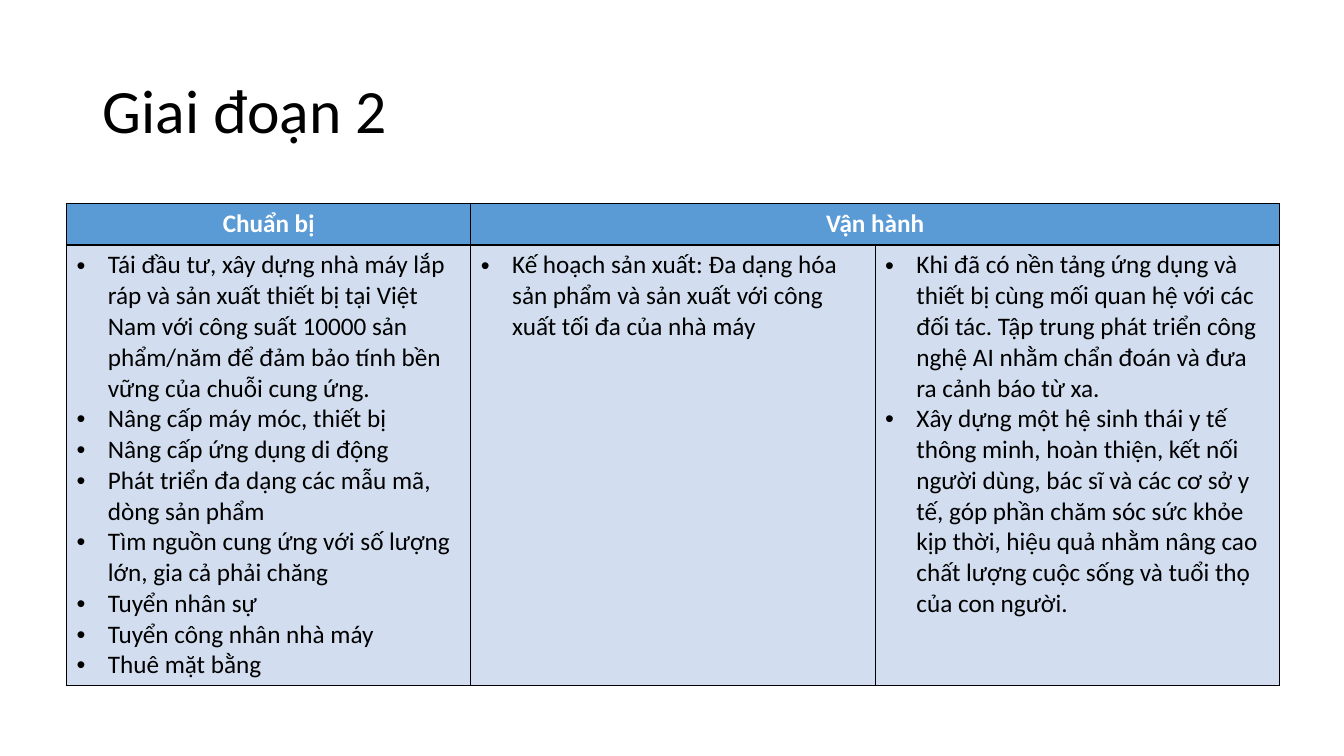
from pptx import Presentation
from pptx.dml.color import RGBColor
from pptx.enum.text import MSO_ANCHOR as Anchor, MSO_AUTO_SIZE as AutoSize, PP_ALIGN as Align
from pptx.oxml import parse_xml
from pptx.oxml.ns import nsdecls
from pptx.util import Inches, Pt

BLACK = RGBColor(0x00, 0x00, 0x00)
WHITE = RGBColor(0xFF, 0xFF, 0xFF)
HEADER_BLUE = RGBColor(0x5B, 0x9B, 0xD5)
BODY_BLUE = RGBColor(0xD2, 0xDE, 0xEF)

PREPARATION = [
    "Tái đầu tư, xây dựng nhà máy lắp ráp và sản xuất thiết bị tại Việt Nam với công suất 10000 sản phẩm/năm để đảm bảo tính bền vững của chuỗi cung ứng.",
    "Nâng cấp máy móc, thiết bị",
    "Nâng cấp ứng dụng di động",
    "Phát triển đa dạng các mẫu mã, dòng sản phẩm",
    "Tìm nguồn cung ứng với số lượng lớn, gia cả phải chăng",
    "Tuyển nhân sự",
    "Tuyển công nhân nhà máy",
    "Thuê mặt bằng",
]
PRODUCTION = [
    "Kế hoạch sản xuất: Đa dạng hóa sản phẩm và sản xuất với công xuất tối đa của nhà máy",
]
ECOSYSTEM = [
    "Khi đã có nền tảng ứng dụng và thiết bị cùng mối quan hệ với các đối tác. Tập trung phát triển công nghệ AI nhằm chẩn đoán và đưa ra cảnh báo từ xa.",
    "Xây dựng một hệ sinh thái y tế thông minh, hoàn thiện, kết nối người dùng, bác sĩ và các cơ sở y tế, góp phần chăm sóc sức khỏe kịp thời, hiệu quả nhằm nâng cao chất lượng cuộc sống và tuổi thọ của con người.",
]


class PhasePage:
    """Holds the text style and the page, and draws the page's elements."""

    font_name = "Calibri"

    def __init__(self, deck):
        self.page = deck.slides.add_slide(deck.slide_layouts[5])

    def style(self, para, size, color, bold=False):
        para.font.name = self.font_name
        para.font.size = Pt(size)
        para.font.bold = bold
        para.font.color.rgb = color

    def title(self, text, left, top, width, height):
        box = self.page.shapes.title
        box.left, box.top = Inches(left), Inches(top)
        box.width, box.height = Inches(width), Inches(height)
        frame = box.text_frame
        frame.text = text
        frame.auto_size = AutoSize.NONE
        frame.vertical_anchor = Anchor.MIDDLE
        para = frame.paragraphs[0]
        para.alignment = Align.LEFT
        para.line_spacing = 0.9
        self.style(para, 44, BLACK)

    def table(self, left, top, column_widths, row_heights):
        frame = self.page.shapes.add_table(
            len(row_heights), len(column_widths), Inches(left), Inches(top),
            Inches(sum(column_widths)), Inches(sum(row_heights)))
        table = frame.table
        for column, width in zip(table.columns, column_widths):
            column.width = Inches(width)
        for row, height in zip(table.rows, row_heights):
            row.height = Inches(height)
        return table

    def paint(self, cell, color):
        properties = cell._tc.get_or_add_tcPr()
        for side in ("lnL", "lnR", "lnT", "lnB"):
            properties.append(parse_xml(
                f'<a:{side} {nsdecls("a")} w="{Pt(1)}"><a:solidFill>'
                f'<a:srgbClr val="{BLACK}"/></a:solidFill></a:{side}>'))
        cell.fill.solid()
        cell.fill.fore_color.rgb = color

    def header(self, cell, text):
        cell.text = text
        para = cell.text_frame.paragraphs[0]
        para.alignment = Align.CENTER
        self.style(para, 18, WHITE, bold=True)

    def bullets(self, cell, items):
        cell.text = "\n".join(items)
        for para in cell.text_frame.paragraphs:
            properties = para._p.get_or_add_pPr()
            properties.set("marL", str(Inches(0.31)))
            properties.set("indent", str(Inches(-0.31)))
            properties.append(parse_xml(f'<a:buFont {nsdecls("a")} typeface="Arial"/>'))
            properties.append(parse_xml(f'<a:buChar {nsdecls("a")} char="•"/>'))
            self.style(para, 18, BLACK)


def main():
    deck = Presentation()
    deck.slide_width, deck.slide_height = Inches(13.33), Inches(7.5)
    phase = PhasePage(deck)
    phase.title("Giai đoạn 2", 0.92, 0.4, 11.5, 1.45)

    table = phase.table(0.66, 2.02, [4.01] * 3, [0.41, 4.37])
    for column in range(3):
        phase.paint(table.cell(0, column), HEADER_BLUE)
        phase.paint(table.cell(1, column), BODY_BLUE)
    table.cell(0, 1).merge(table.cell(0, 2))
    phase.header(table.cell(0, 0), "Chuẩn bị")
    phase.header(table.cell(0, 1), "Vận hành")
    for column, items in enumerate([PREPARATION, PRODUCTION, ECOSYSTEM]):
        phase.bullets(table.cell(1, column), items)

    deck.save("out.pptx")


if __name__ == "__main__":
    main()
